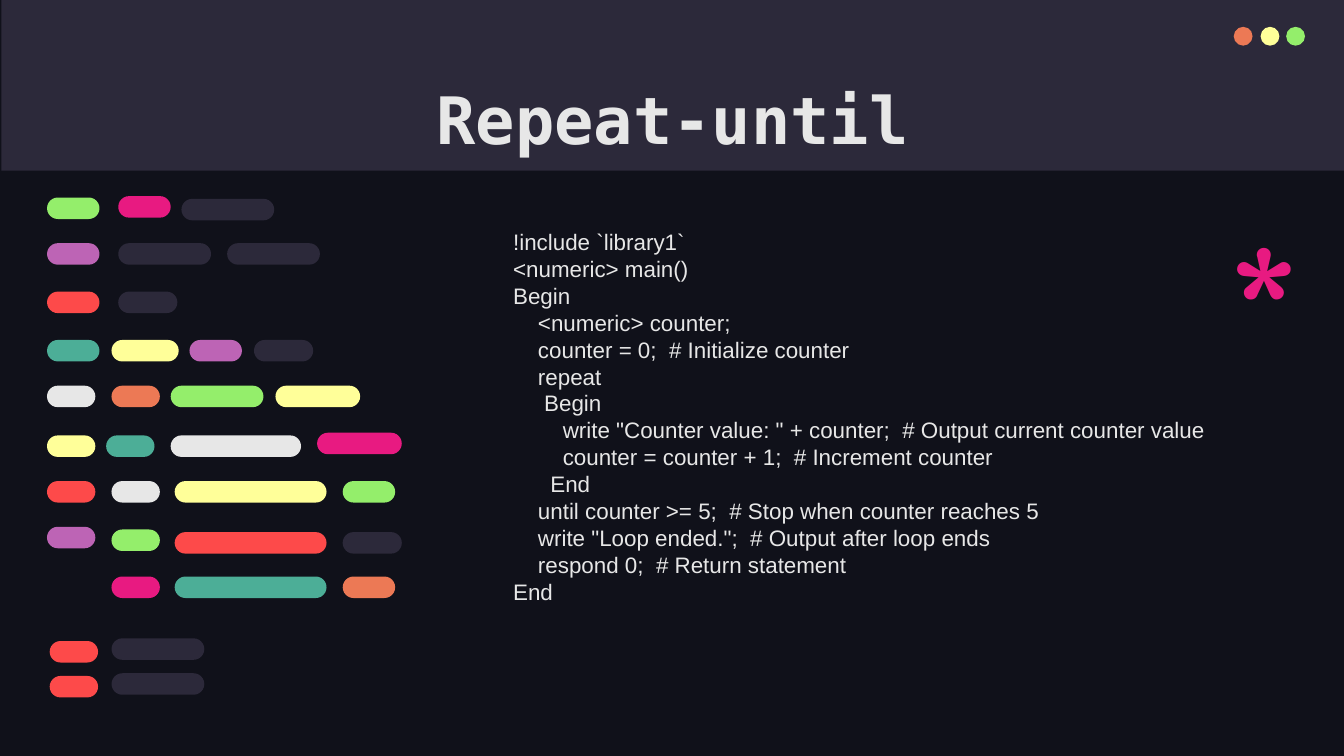
from typing import NamedTuple

from pptx import Presentation
from pptx.dml.color import RGBColor
from pptx.enum.shapes import MSO_SHAPE
from pptx.enum.text import MSO_ANCHOR, PP_ALIGN
from pptx.util import Inches, Pt

NIGHT = RGBColor(0x10, 0x11, 0x1A)
SLATE = RGBColor(0x2C, 0x29, 0x3A)
WHITE = RGBColor(0xE7, 0xE7, 0xE7)
ORANGE = RGBColor(0xEC, 0x79, 0x55)
YELLOW = RGBColor(0xFF, 0xFF, 0x99)
GREEN = RGBColor(0x94, 0xEE, 0x6B)
PINK = RGBColor(0xE8, 0x1A, 0x81)
PURPLE = RGBColor(0xBD, 0x64, 0xB5)
RED = RGBColor(0xFD, 0x4A, 0x4A)
TEAL = RGBColor(0x4C, 0xAE, 0x97)


class Box(NamedTuple):
    left: float
    top: float
    width: float
    height: float


class Pill(NamedTuple):
    left: float
    top: float
    width: float
    color: RGBColor


class Style(NamedTuple):
    font: str
    size: float
    color: RGBColor
    bold: bool = False
    align: PP_ALIGN = PP_ALIGN.LEFT
    pitch: float | None = None


PILL_H = 0.16
DOT = 0.14
DOTS = [(9.18, ORANGE), (9.38, YELLOW), (9.57, GREEN)]

PILLS = [
    Pill(0.35, 1.47, 0.39, GREEN), Pill(0.88, 1.46, 0.39, PINK),
    Pill(1.35, 1.48, 0.69, SLATE),
    Pill(0.35, 1.81, 0.39, PURPLE), Pill(0.88, 1.81, 0.69, SLATE),
    Pill(1.69, 1.81, 0.69, SLATE),
    Pill(0.35, 2.17, 0.39, RED), Pill(0.88, 2.17, 0.44, SLATE),
    Pill(0.35, 2.53, 0.39, TEAL), Pill(0.83, 2.53, 0.5, YELLOW),
    Pill(1.41, 2.53, 0.39, PURPLE), Pill(1.89, 2.53, 0.44, SLATE),
    Pill(0.35, 2.87, 0.36, WHITE), Pill(0.83, 2.87, 0.36, ORANGE),
    Pill(1.27, 2.87, 0.69, GREEN), Pill(2.05, 2.87, 0.63, YELLOW),
    Pill(0.35, 3.24, 0.36, YELLOW), Pill(0.79, 3.24, 0.36, TEAL),
    Pill(1.27, 3.24, 0.97, WHITE), Pill(2.36, 3.22, 0.63, PINK),
    Pill(0.35, 3.58, 0.36, RED), Pill(0.83, 3.58, 0.36, WHITE),
    Pill(1.3, 3.58, 1.13, YELLOW), Pill(2.55, 3.58, 0.39, GREEN),
    Pill(0.35, 3.92, 0.36, PURPLE), Pill(0.83, 3.94, 0.36, GREEN),
    Pill(1.3, 3.96, 1.13, RED), Pill(2.55, 3.96, 0.44, SLATE),
    Pill(0.83, 4.29, 0.36, PINK), Pill(1.3, 4.29, 1.13, TEAL),
    Pill(2.55, 4.29, 0.39, ORANGE),
    Pill(0.37, 4.77, 0.36, RED), Pill(0.83, 4.75, 0.69, SLATE),
    Pill(0.37, 5.03, 0.36, RED), Pill(0.83, 5.01, 0.69, SLATE),
]

CODE = """!include `library1`
<numeric> main()
Begin
    <numeric> counter;
    counter = 0;  # Initialize counter
    repeat
     Begin
        write "Counter value: " + counter;  # Output current counter value
        counter = counter + 1;  # Increment counter
      End
    until counter >= 5;  # Stop when counter reaches 5
    write "Loop ended.";  # Output after loop ends
    respond 0;  # Return statement
End"""


def add_block(shapes, kind: MSO_SHAPE, box: Box, color: RGBColor):
    block = shapes.add_shape(kind, *map(Inches, box))
    block.shadow.inherit = False
    block.fill.solid()
    block.fill.fore_color.rgb = color
    block.line.fill.background()
    return block


def add_pill(shapes, pill: Pill) -> None:
    box = Box(pill.left, pill.top, pill.width, PILL_H)
    block = add_block(shapes, MSO_SHAPE.ROUNDED_RECTANGLE, box, pill.color)
    block.adjustments[0] = 0.5


def add_text(shapes, box: Box, text: str, style: Style, inset: float) -> None:
    """Write each line of text as a paragraph, inset from the box top."""
    frame = shapes.add_textbox(*map(Inches, box)).text_frame
    frame.word_wrap = True
    frame.vertical_anchor = MSO_ANCHOR.TOP
    frame.margin_left = frame.margin_right = Inches(0.1)
    frame.margin_top = Inches(inset)
    frame.margin_bottom = Inches(0.05)
    for i, line in enumerate(text.split("\n")):
        para = frame.add_paragraph() if i else frame.paragraphs[0]
        para.alignment = style.align
        if style.pitch:
            para.line_spacing = Pt(style.pitch)
        run = para.add_run()
        run.text = line
        run.font.name = style.font
        run.font.size = Pt(style.size)
        run.font.bold = style.bold
        run.font.color.rgb = style.color


def main() -> None:
    deck = Presentation()
    deck.slide_width = Inches(10)
    deck.slide_height = deck.slide_width * 9 // 16
    slide = deck.slides.add_slide(deck.slide_layouts[6])
    slide.background.fill.solid()
    slide.background.fill.fore_color.rgb = NIGHT
    shapes = slide.shapes

    add_block(shapes, MSO_SHAPE.RECTANGLE, Box(0.01, 0, 10, 1.27), SLATE)
    for left, color in DOTS:
        add_block(shapes, MSO_SHAPE.OVAL, Box(left, 0.2, DOT, DOT), color)
    title = Style("DejaVu Sans Mono", 35, WHITE, True, PP_ALIGN.CENTER)
    add_text(shapes, Box(0.79, 0.49, 8.43, 0.63), "Repeat-until", title, 0.1)

    group = shapes.add_group_shape()
    for pill in PILLS:
        add_pill(group.shapes, pill)

    star = Style("Comfortaa", 96, PINK)
    add_text(shapes, Box(9.05, 1.46, 0.57, 0.87), "*", star, 0.1)
    code = Style("Arial", 12, WHITE, pitch=14.4)
    add_text(shapes, Box(3.72, 1.65, 5.66, 3.54), CODE, code, 0.05)

    deck.save("out.pptx")


if __name__ == "__main__":
    main()
